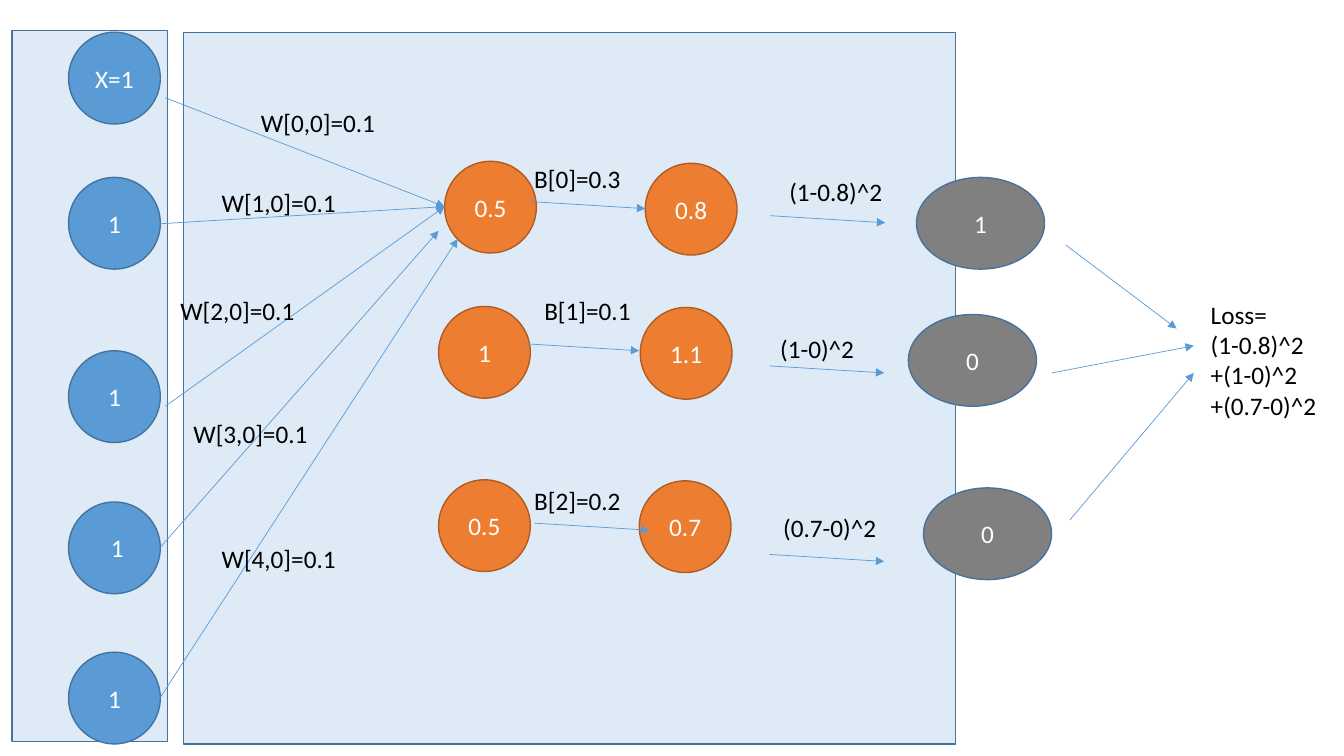
from pptx import Presentation
from pptx.dml.color import RGBColor
from pptx.enum.shapes import MSO_CONNECTOR, MSO_SHAPE
from pptx.enum.text import MSO_ANCHOR, MSO_AUTO_SIZE, PP_ALIGN
from pptx.oxml.ns import qn
from pptx.util import Inches, Pt
from lxml.etree import SubElement

THEME = {
    "font": "Calibri", "size": 18, "edge": 1, "thin": 0.5,
    "panel": ("DEEBF7", "43739E"),
    "input": ("5B9BD5", "43739E"),
    "hidden": ("ED7D31", "AF5C24"),
    "target": ("808080", "43739E"),
    "arrow": "5B9BD5", "light": "FFFFFF", "dark": "000000",
}

# Content: (left, top, ...) in inches
PANELS = [(0.12, 0.3, 1.54), (1.82, 0.32, 7.66)]
TALL = 7.06
DIAM, WIDE = 0.91, 1.27

INPUTS = [("X=1", 0.32), ("1", 1.76), ("1", 3.48), (" 1", 4.98), ("1", 6.47)]
IN_X = 0.68
HIDDEN = [
    ("0.5", 4.41, 1.6), ("1", 4.35, 3.04), ("0.5", 4.35, 4.76),
    ("0.8", 6.4, 1.62), ("1.1", 6.35, 3.05), ("0.7", 6.34, 4.77),
]
TARGETS = [("1", 9.09, 1.76), ("0", 9.01, 3.12), ("0", 9.16, 4.84)]

WEIGHTS = [(2.49, 1.02), (2.1, 1.81), (1.69, 2.88), (1.82, 4.1), (2.1, 5.34)]
BIASES = [("0.3", 5.2, 1.57), ("0.1", 5.3, 2.88), ("0.2", 5.2, 4.77)]
COSTS = [("(1-0.8)^2", 7.73, 1.7, 1.13), ("(1-0)^2", 7.64, 3.26, 0.94),
         ("(0.7-0)^2", 7.67, 5.03, 1.13)]
LOSS = "Loss=\n(1-0.8)^2\n+(1-0)^2\n+(0.7-0)^2"

LINKS = [  # from x, y, to x, y
    (1.64, 0.97, 4.41, 2.05), (1.59, 2.22, 4.41, 2.05),
    (1.64, 4.03, 4.41, 2.05), (1.59, 5.43, 4.35, 2.29),
    (1.59, 6.92, 4.54, 2.37),
    (10.57, 2.43, 11.67, 3.26), (10.43, 3.7, 11.84, 3.43),
    (10.61, 5.16, 11.84, 3.7),
]
STEPS = [(5.26, 2), (5.2, 3.41), (5.3, 5.19),
         (7.64, 2.14), (7.63, 3.63), (7.63, 5.5)]
STEP = (1.14, 0.07)

deck = Presentation()
deck.slide_width, deck.slide_height = Inches(13.33), Inches(7.5)
slide = deck.slides.add_slide(deck.slide_layouts[6])
shapes = slide.shapes


def color(name):
    return RGBColor.from_string(name)


def write(frame, text, tint, align):
    frame.text = text
    for para in frame.paragraphs:
        para.alignment = align
        for run in para.runs:
            run.font.name = THEME["font"]
            run.font.size = Pt(THEME["size"])
            run.font.color.rgb = color(THEME[tint])


def block(form, kind, x, y, w, h, text=""):
    item = shapes.add_shape(form, *map(Inches, (x, y, w, h)))
    fill, edge = THEME[kind]
    item.shadow.inherit = False
    item.fill.solid()
    item.fill.fore_color.rgb = color(fill)
    item.line.color.rgb = color(edge)
    item.line.width = Pt(THEME["edge"])
    if text:
        frame = item.text_frame
        frame.vertical_anchor = MSO_ANCHOR.MIDDLE
        write(frame, text, "light", PP_ALIGN.CENTER)


def node(kind, text, x, y, w=DIAM):
    block(MSO_SHAPE.OVAL, kind, x, y, w, DIAM, text)


def arrow(*ends):
    link = shapes.add_connector(MSO_CONNECTOR.STRAIGHT, *map(Inches, ends))
    link.line.color.rgb = color(THEME["arrow"])
    link.line.width = Pt(THEME["thin"])
    SubElement(link.line._get_or_add_ln(), qn("a:tailEnd"), type="triangle")
    SubElement(link._element.spPr, qn("a:effectLst"))


def label(text, x, y, w, h=0.4):
    frame = shapes.add_textbox(*map(Inches, (x, y, w, h))).text_frame
    frame.word_wrap = False
    frame.auto_size = MSO_AUTO_SIZE.SHAPE_TO_FIT_TEXT
    write(frame, text, "dark", PP_ALIGN.LEFT)


# Panels
for x, y, w in PANELS:
    block(MSO_SHAPE.RECTANGLE, "panel", x, y, w, TALL)

# Nodes
for text, y in INPUTS:
    node("input", text, IN_X, y)
for text, x, y in HIDDEN:
    node("hidden", text, x, y)
for text, x, y in TARGETS:
    node("target", text, x, y, WIDE)

# Arrows
for ends in LINKS:
    arrow(*ends)
for x, y in STEPS:
    arrow(x, y, x + STEP[0], y + STEP[1])

# Labels
for row, (x, y) in enumerate(WEIGHTS):
    label(f"W[{row},0]=0.1", x, y, 1.34)
for row, (bias, x, y) in enumerate(BIASES):
    label(f"B[{row}]={bias}", x, y, 1.07)
for cost in COSTS:
    label(*cost)
label(LOSS, 11.91, 2.92, 1.26, 1.31)

deck.save("out.pptx")
